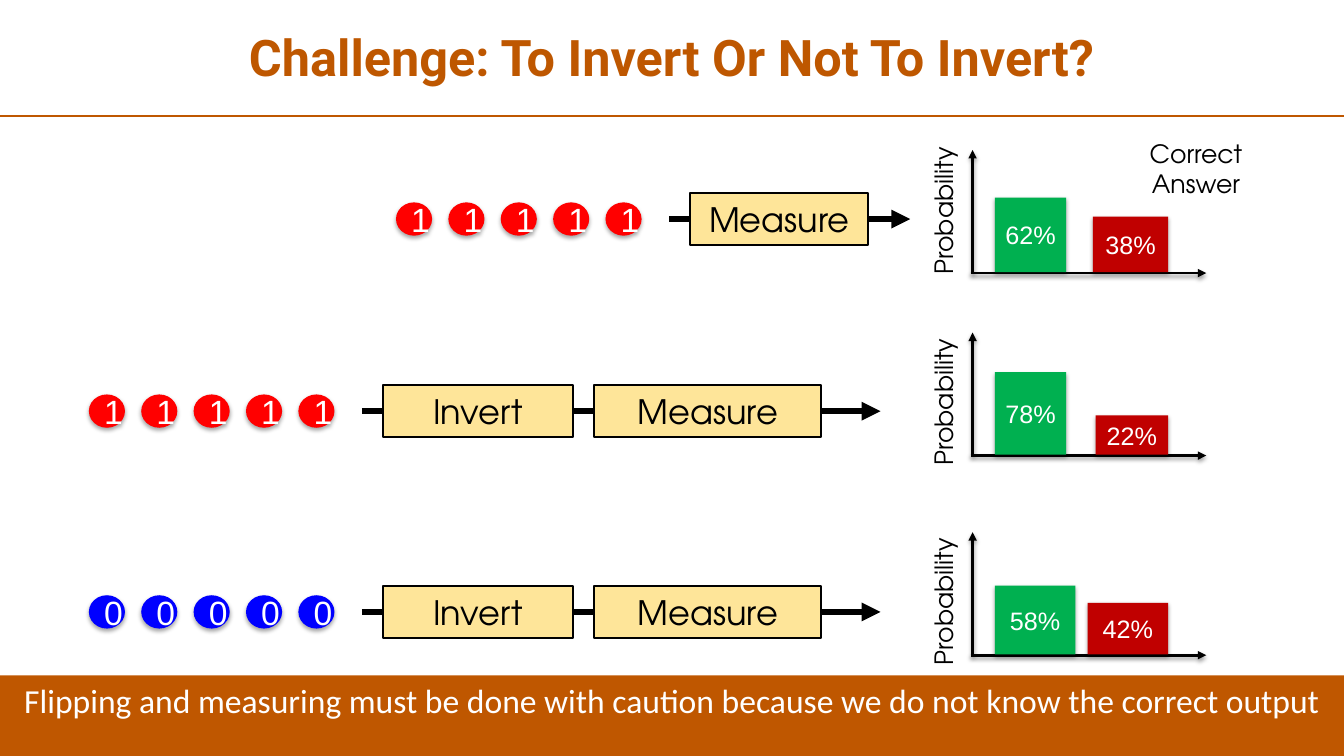
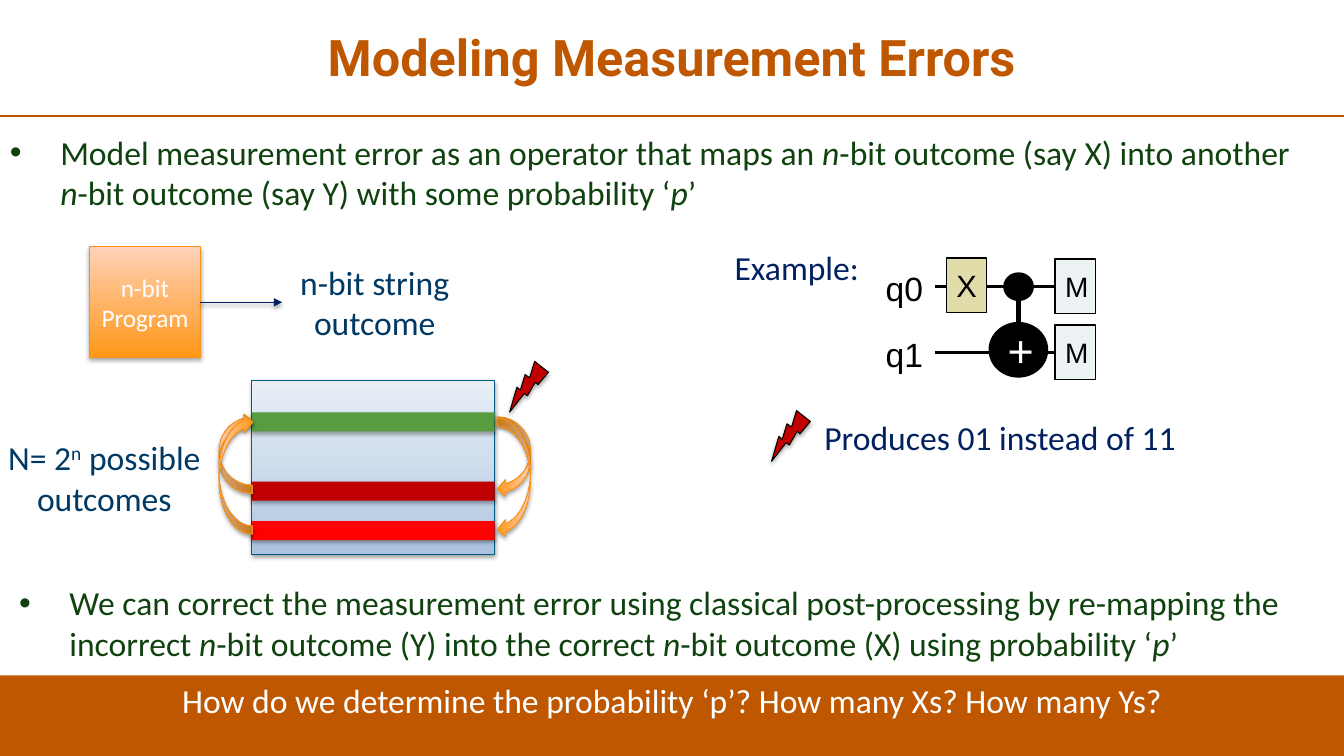
from lxml import etree
from pptx import Presentation
from pptx import util as u
from pptx.dml import color
from pptx.enum import shapes, text
from pptx.oxml import ns

SLIDE_WIDTH, SLIDE_HEIGHT = 33.87, 19.05
ORANGE, TITLE_ORANGE = "BF5700", "BE5700"
BLACK, WHITE, NAVY, TEAL, FOREST = "000000", "FFFFFF", "002060", "003963", "104210"
RED, DARK_RED, BLUE, GREEN, LEAF = "FF0000", "C00000", "0000FF", "00B050", "579C41"
SAND, KHAKI, PALE = "FEE599", "E0DDAA", "EDF2F4"
ORANGE_FADE = [(0, "FF9717"), (100, "FFD2B9")]
BLUE_FADE = [(0, "ABC3E0"), (35, "C5D5E8"), (100, "E8EFF7")]
BODY, LABEL, DIAGRAM = "Calibri", "Arial", "TeX Gyre Adventor"
SHAPE = shapes.MSO_SHAPE


def rgb(code):
    """Turn a hex string into a colour."""
    return color.RGBColor.from_string(code)


def child(parent, tag, **attributes):
    """Append a drawing element to a parent element."""
    return etree.SubElement(parent, ns.qn("a:" + tag), {key: str(value) for key, value in attributes.items()})


def add_shadow(effects, alpha):
    """Put a soft downward shadow into an effect list."""
    shadow = child(effects, "outerShdw", blurRad=u.Pt(3.1), dist=u.Pt(1.8), dir=5400000, rotWithShape=0)
    child(child(shadow, "srgbClr", val=BLACK), "alpha", val=alpha * 1000)


def write(shape, words, size=24, font=BODY, ink=BLACK, bold=False, align="CENTER", anchor="MIDDLE",
          wrap=True, spacing=None, bullet=False, marked="italic"):
    """Fill a shape with lines of text, where asterisks enclose marked runs."""
    frame = shape.text_frame
    frame.word_wrap = wrap
    frame.auto_size = text.MSO_AUTO_SIZE.NONE
    frame.vertical_anchor = text.MSO_ANCHOR[anchor]
    for index, line in enumerate(words.split("\n")):
        paragraph = frame.add_paragraph() if index else frame.paragraphs[0]
        paragraph.alignment = text.PP_ALIGN[align]
        if spacing:
            paragraph.line_spacing = spacing
        if bullet:
            properties = paragraph._p.get_or_add_pPr()
            properties.set("marL", str(u.Cm(1.27)))
            properties.set("indent", str(u.Cm(-1.27)))
            child(properties, "buFont", typeface=LABEL)
            child(properties, "buChar", char="•")
        for part, piece in enumerate(line.split("*")):
            run = paragraph.add_run()
            run.text = piece
            run.font.name, run.font.size, run.font.bold = font, u.Pt(size), bold
            run.font.color.rgb = rgb(ink)
            if part % 2 and marked == "italic":
                run.font.italic = True
            elif part % 2:
                run.font._element.set("baseline", "30000")


def add_text(slide, box, words, **style):
    """Add a text box."""
    shape = slide.shapes.add_textbox(*map(u.Cm, box))
    write(shape, words, **style)
    return shape


def add_figure(slide, kind, box, fill, outline=None, weight=0.75, shadow=False, rotation=0,
               words=None, **style):
    """Add a preset shape with a plain or graded fill."""
    shape = slide.shapes.add_shape(kind, *map(u.Cm, box))
    shape.rotation = rotation
    if isinstance(fill, str):
        shape.fill.solid()
        shape.fill.fore_color.rgb = rgb(fill)
    else:
        shape.fill.gradient()
        shape.fill.gradient_angle = 90
        stops = shape.element.spPr.find(".//" + ns.qn("a:gsLst"))
        for stop in list(stops):
            stops.remove(stop)
        for position, code in fill:
            child(child(stops, "gs", pos=position * 1000), "srgbClr", val=code)
    if outline:
        shape.line.color.rgb = rgb(outline)
        shape.line.width = u.Pt(weight)
    else:
        shape.line.fill.background()
    shape.shadow.inherit = False
    if shadow:
        add_shadow(shape.element.spPr.find(ns.qn("a:effectLst")), 35)
    if words:
        write(shape, words, **style)
    return shape


def add_line(slide, start, end, ink=BLACK, weight=2, arrow=False, shadow=False):
    """Draw a straight line, with an arrowhead if asked."""
    line = slide.shapes.add_connector(shapes.MSO_CONNECTOR.STRAIGHT, *map(u.Cm, start + end))
    line.line.color.rgb = rgb(ink)
    line.line.width = u.Pt(weight)
    properties = line.element.spPr
    if arrow:
        child(properties.find(ns.qn("a:ln")), "tailEnd", type="triangle")
    effects = child(properties, "effectLst")
    if shadow:
        add_shadow(effects, 38)


def add_framed_slide(presentation, title, message):
    """Add a slide with its title, rule and message band."""
    slide = presentation.slides.add_slide(presentation.slide_layouts[5])
    heading = slide.shapes.title
    heading.left, heading.top, heading.width, heading.height = map(u.Cm, (0.23, 0.1, 33.4, 2.82))
    write(heading, title, size=36, font="Roboto", ink=TITLE_ORANGE, bold=True, spacing=0.9)
    add_line(slide, (0, 2.92), (SLIDE_WIDTH, 2.92), ORANGE, 1.5)
    add_figure(slide, SHAPE.RECTANGLE, (0, 17.02, SLIDE_WIDTH, 2.03), ORANGE,
               words=message, ink=WHITE, anchor="TOP")
    return slide


def add_pipeline(slide, left, middle, digit, fill, gates, exit_length):
    """Draw five qubits and the gates that follow them on one wire."""
    for index in range(5):
        add_figure(slide, SHAPE.OVAL, (left + 1.32 * index, middle - 0.42, 0.91, 0.84), fill, shadow=True,
                   words=digit, font=LABEL, ink=WHITE)
    wire, gap, height = left + 6.88, 0.54, 1.32
    wire_end = wire + sum(gap + width for _, width in gates) + exit_length
    add_line(slide, (wire, middle), (wire_end, middle), weight=4.5, arrow=True)
    gate_left = wire + gap
    for name, width in gates:
        add_figure(slide, SHAPE.RECTANGLE, (gate_left, middle - height / 2, width, height), SAND, BLACK, 1.5,
                   words=name, font=DIAGRAM)
        gate_left += width + gap


def add_histogram(slide, left, base, label_drop, correct, wrong):
    """Draw two probability bars on a pair of axes."""
    add_line(slide, (left + 0.05, base), (left + 0.05, base - 3.1), arrow=True, shadow=True)
    add_line(slide, (left, base), (left + 5.94, base), arrow=True, shadow=True)
    bars = [(wrong, left + 4.98 - wrong[1], DARK_RED), (correct, left + 0.61, GREEN)]
    for (share, width, height), bar_left, fill in bars:
        add_figure(slide, SHAPE.RECTANGLE, (bar_left, base - height - 0.02, width, height), fill, shadow=True,
                   words=share, size=18, font=LABEL, ink=WHITE)
    length, thickness = 4.04, 1.02
    label = add_text(slide, (left - 0.69 - length / 2, base + label_drop - (length + thickness) / 2,
                             length, thickness),
                     "Probability", size=18, font=DIAGRAM, align="LEFT", anchor="TOP")
    label.rotation = 270


def add_bolt(slide, left, top):
    """Draw the lightning bolt that marks an error."""
    add_figure(slide, SHAPE.LIGHTNING_BOLT, (left, top, 0.97, 1.27), DARK_RED, BLACK, shadow=True, rotation=69.2)


def add_program(slide, left, top):
    """Draw the program block and its outcome."""
    side = 2.79
    add_figure(slide, SHAPE.RECTANGLE, (left, top, side, side), ORANGE_FADE, "F79319", shadow=True,
               words="n-bit\nProgram", size=18, ink=WHITE)
    middle = top + side / 2
    add_line(slide, (left + side, middle), (left + 4.85, middle), NAVY, 1, arrow=True, shadow=True)
    add_text(slide, (left + 4.85, middle - 1.02, 4.67, 2.03), "n-bit string\noutcome", ink=TEAL)


def add_outcome_map(slide, left, top):
    """Draw the outcome space and the arrows that remap its rows."""
    width = 6.12
    add_figure(slide, SHAPE.RECTANGLE, (left, top, width, 4.37), BLUE_FADE, "005C83", shadow=True)
    for offset, fill in ((0.79, LEAF), (2.54, DARK_RED), (3.53, RED)):
        add_figure(slide, SHAPE.RECTANGLE, (left, top + offset, width, 0.48), fill, shadow=True)
    for center, middle, rotation in ((left + width + 0.48, top + 1.92, 90), (left - 0.41, top + 1.82, 270)):
        for span, drop in ((2.03, 0), (3.02, 0.53)):
            add_figure(slide, SHAPE.CURVED_DOWN_ARROW, (center - span / 2, middle + drop - 0.42, span, 0.84),
                       ORANGE_FADE, "F79319", shadow=True, rotation=rotation)
    add_bolt(slide, left + width + 0.31, top - 0.53)
    add_text(slide, (0, top + 1.42, 5.26, 2.03), "N= 2*n* possible\noutcomes", ink=TEAL,
             wrap=False, marked="superscript")


def add_circuit(slide, left, top):
    """Draw the two-qubit example circuit."""
    gate_width, gate_height, pitch = 1.02, 1.37, 1.66
    for index in range(2):
        row = top + pitch * index
        add_text(slide, (left, row + 0.13, 1.47, 1.17), f"q{index}", font=LABEL, align="LEFT", anchor="TOP")
        add_line(slide, (left + 1.5, row + 0.72), (left + 4.52, row + 0.72))
        add_figure(slide, SHAPE.RECTANGLE, (left + 4.52, row + 0.03, gate_width, gate_height), PALE, BLACK, 1,
                   words="M", size=20, font=LABEL)
    add_figure(slide, SHAPE.RECTANGLE, (left + 1.78, top, gate_width, gate_height), KHAKI, BLACK, 1,
               words="X", size=22, font=LABEL)
    control = left + 3.6
    add_figure(slide, SHAPE.OVAL, (control - 0.37, top + 0.38, 0.74, 0.69), BLACK, BLACK, 1)
    add_line(slide, (control, top + 1.07), (control, top + 1.63), weight=3.75)
    add_figure(slide, SHAPE.OVAL, (control - 0.74, top + 1.63, 1.47, gate_height), BLACK, BLACK, 1,
               words="+", size=32, font=LABEL, ink=WHITE)


def build_inversion_slide(presentation):
    """Compare measuring with and without inversion."""
    slide = add_framed_slide(
        presentation, "Challenge: To Invert Or Not To Invert?",
        "Flipping and measuring must be done with caution because we do not know the correct output")
    direct = [("Measure", 4.47)]
    inverted = [("Invert", 4.78), ("Measure", 5.72)]
    rows = [
        ((9.98, 5.52, "1", RED, direct, 1.07), (6.88, 0.28, ("62%", 1.8, 1.88), ("38%", 1.9, 1.4))),
        ((2.24, 10.36, "1", RED, inverted, 1.49), (11.48, 0.5, ("78%", 1.8, 2.08), ("22%", 1.83, 0.99))),
        ((2.24, 15.42, "0", BLUE, inverted, 1.49), (16.51, 0.5, ("58%", 2.03, 1.73), ("42%", 2.03, 1.3))),
    ]
    for pipeline, histogram in rows:
        add_pipeline(slide, *pipeline)
        add_histogram(slide, 24.46, *histogram)
    add_text(slide, (28.45, 3.35, 3.38, 1.8), "Correct Answer", size=18, font=DIAGRAM, anchor="TOP")


def build_error_model_slide(presentation):
    """Explain how measurement errors are modelled."""
    slide = add_framed_slide(presentation, "Modeling Measurement Errors",
                             "How do we determine the probability ‘p’? How many Xs? How many Ys?")
    points = [
        (0, 3.2, "Model measurement error as an operator that maps an *n*-bit outcome (say X) into another "
                 "*n*-bit outcome (say Y) with some probability ‘*p*’"),
        (0.23, 14.55, "We can correct the measurement error using classical post-processing by re-mapping the "
                      "incorrect *n*-bit outcome (Y) into the correct *n*-bit outcome (X) using probability ‘*p*’"),
    ]
    for left, top, words in points:
        add_text(slide, (left, top, 33.4, 2.31), words, ink=FOREST, align="LEFT", anchor="TOP", bullet=True)
    add_program(slide, 2.26, 6.22)
    add_outcome_map(slide, 6.35, 9.6)
    add_circuit(slide, 22.07, 6.5)
    add_bolt(slide, 19.38, 10.31)
    for box, words in (((18.24, 6.2, 3.68, 1.17), "Example:"),
                       ((20.47, 10.49, 9.47, 1.17), "Produces 01 instead of 11")):
        add_text(slide, box, words, ink=NAVY, wrap=False, spacing=0.9, anchor="TOP")


def main():
    """Build and save the presentation."""
    presentation = Presentation()
    presentation.slide_width, presentation.slide_height = u.Cm(SLIDE_WIDTH), u.Cm(SLIDE_HEIGHT)
    build_inversion_slide(presentation)
    build_error_model_slide(presentation)
    presentation.save("out.pptx")


if __name__ == "__main__":
    main()
